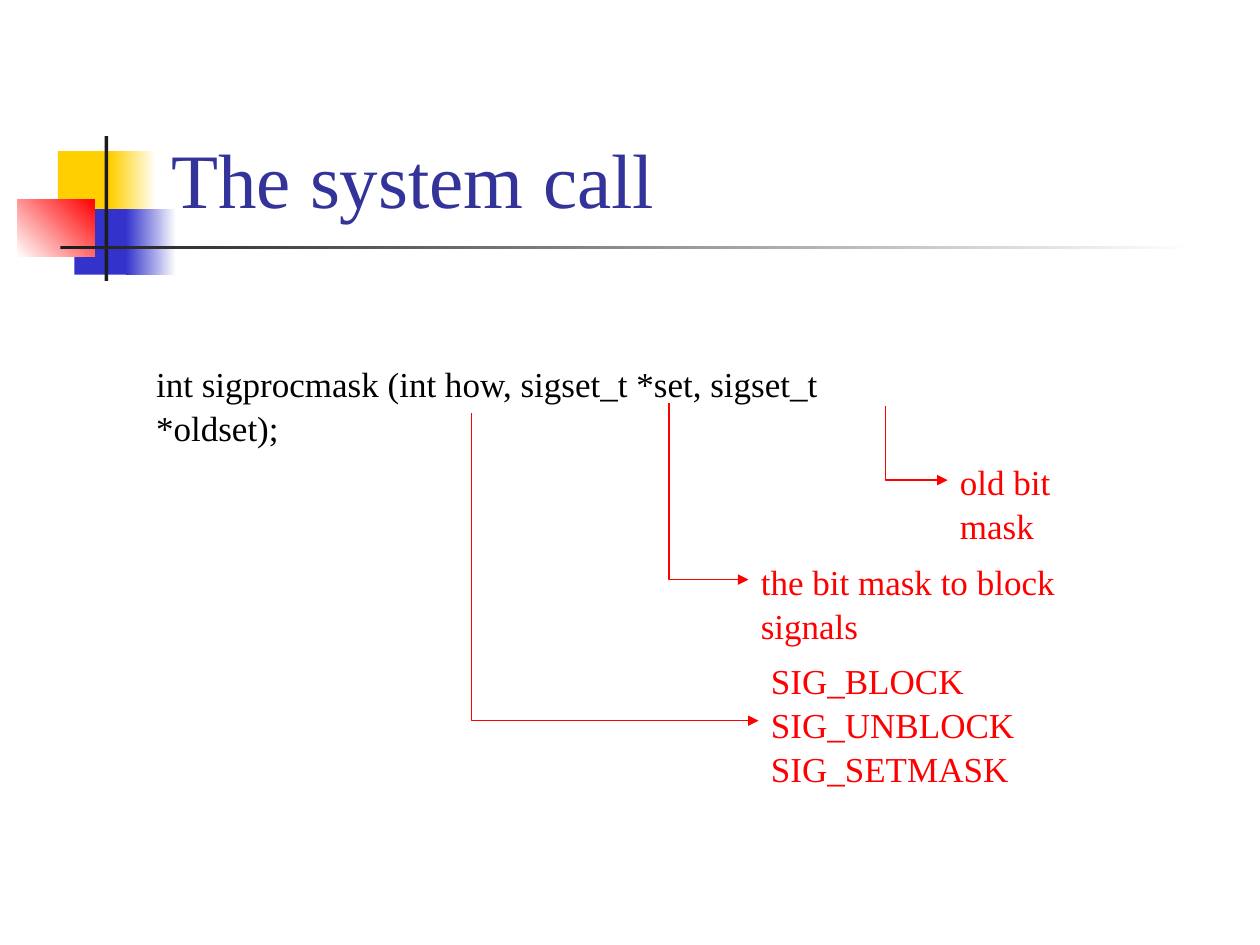
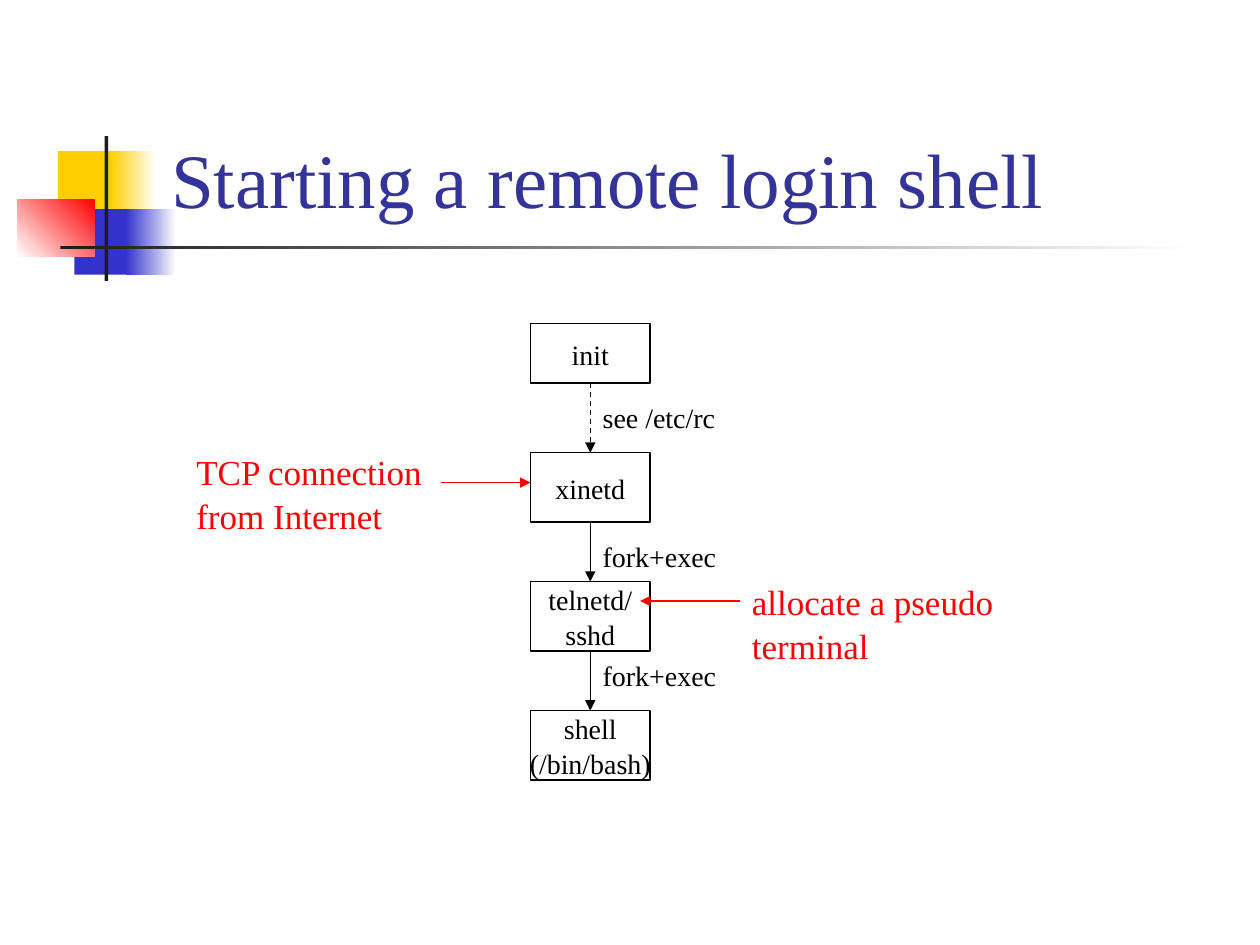
from lxml.etree import SubElement
from pptx import Presentation
from pptx.dml.color import RGBColor
from pptx.enum.dml import MSO_LINE_DASH_STYLE as Dash
from pptx.enum.shapes import MSO_CONNECTOR as Link, MSO_SHAPE as Shape
from pptx.enum.text import MSO_ANCHOR as Anchor, PP_ALIGN as Align
from pptx.oxml.ns import qn
from pptx.util import Inches, Pt

FONT = "Times New Roman"
WHITE, BLACK, RED = "FFFFFF", "000000", "FF0000"
YELLOW, BLUE, CHARCOAL, TITLE_BLUE = "FFCF01", "3333CC", "1C1C1C", "333399"
LINE_WIDTH = Pt(0.75)

# left, top, width, height, colours (two make a gradient), gradient angle
TITLE_MOTIF = [
    (0.46, 1.2, 0.48, 0.52, [YELLOW], 0),
    (0.88, 1.2, 0.36, 0.52, [YELLOW, WHITE], 0),
    (0.59, 1.66, 0.46, 0.52, [BLUE], 0),
    (1, 1.66, 0.4, 0.52, [BLUE, WHITE], 0),
    (0.14, 1.58, 0.61, 0.46, [WHITE, RED], 45),
    (0.83, 1.08, 0.03, 1.15, [CHARCOAL], 0),
    (0.48, 1.95, 9, 0.03, [CHARCOAL, WHITE], 0),
]


def rgb(value):
    """Turn a hex string into a colour."""
    return RGBColor.from_string(value)


def write(frame, text, size, color, align=Align.LEFT, spacing=1.05, **layout):
    """Fill a text frame, one paragraph per line of text."""
    for setting, value in layout.items():
        setattr(frame, setting, value)
    frame.text = text
    for paragraph in frame.paragraphs:
        paragraph.alignment = align
        paragraph.line_spacing = spacing
        look = {"name": FONT, "size": Pt(size)}
        for setting, value in look.items():
            setattr(paragraph.font, setting, value)
        paragraph.font.color.rgb = rgb(color)


def add_label(slide, left, top, width, height, text, size=20, color=RED, **layout):
    """Place a text box that keeps its lines unless word_wrap is given."""
    label = slide.shapes.add_textbox(*map(Inches, (left, top, width, height)))
    write(label.text_frame, text, size, color, **{"word_wrap": False, **layout})


def add_block(slide, left, top, width, height):
    """Place a plain rectangle without shadow or outline."""
    block = slide.shapes.add_shape(
        Shape.RECTANGLE, *map(Inches, (left, top, width, height)))
    block.shadow.inherit = False
    block.line.fill.background()
    return block


def add_arrow(slide, start, end, color, kind=Link.STRAIGHT, dash=None):
    """Draw a thin connector with a triangle at its end."""
    arrow = slide.shapes.add_connector(kind, *map(Inches, (*start, *end)))
    arrow.line.color.rgb = rgb(color)
    arrow.line.width = LINE_WIDTH
    if dash:
        arrow.line.dash_style = dash
    properties = arrow._element.spPr
    SubElement(properties.find(qn("a:ln")), qn("a:tailEnd"), type="triangle")
    SubElement(properties, qn("a:effectLst"))
    return arrow


def add_corner_arrow(slide, start, end, color):
    """Draw an arrow that runs down, then right, with a single bend."""
    (x1, y1), (x2, y2) = start, end
    middle_x, middle_y = (x1 + x2) / 2, (y1 + y2) / 2
    half_run, half_drop = (x2 - x1) / 2, (y2 - y1) / 2
    # The frame is flipped and turned a quarter, so run and drop swap places.
    arrow = add_arrow(slide, (middle_x + half_drop, middle_y - half_run),
                      (middle_x - half_drop, middle_y + half_run), color, Link.ELBOW)
    properties = arrow._element.spPr
    properties.find(qn("a:xfrm")).set("rot", str(270 * 60000))
    properties.find(qn("a:prstGeom")).set("prst", "bentConnector2")


def add_titled_slide(deck, title):
    """Start a slide with the coloured motif, the rule and the title."""
    slide = deck.slides.add_slide(deck.slide_layouts[6])
    for left, top, width, height, colors, angle in TITLE_MOTIF:
        fill = add_block(slide, left, top, width, height).fill
        if len(colors) == 1:
            fill.solid()
            fill.fore_color.rgb = rgb(colors[0])
            continue
        fill.gradient()
        fill.gradient_angle = angle
        for stop, color, position in zip(fill.gradient_stops, colors, (0, 1)):
            stop.color.rgb = rgb(color)
            stop.position = position
    add_label(slide, 1.26, 0.23, 8.52, 1.6, title, 44, TITLE_BLUE, spacing=1.0,
              word_wrap=True, vertical_anchor=Anchor.BOTTOM)
    return slide


def add_signature(slide, left, top):
    """Show the function signature and explain each of its arguments."""
    wrapped = {"word_wrap": True, "margin_right": Inches(0.2)}
    add_label(slide, left, top, 6.49, 0.77,
              "int sigprocmask (int how, sigset_t *set, sigset_t *oldset);",
              color=BLACK, **wrapped)
    # text, box, arrow start, arrow drop, layout
    arguments = [
        ("the bit mask to block signals", (4.8, 1.57, 3.36, 0.77),
         (4.17, 0.39), 1.4, wrapped),
        ("old bit mask", (6.38, 0.78, 1.57, 0.77), (5.89, 0.41), 0.59, wrapped),
        ("SIG_BLOCK\nSIG_UNBLOCK\nSIG_SETMASK", (4.88, 2.36, 2.14, 1.1),
         (2.6, 0.47), 2.44, {}),
    ]
    for text, (x, y, width, height), (start_x, start_y), drop, layout in arguments:
        add_label(slide, left + x, top + y, width, height, text, **layout)
        start = left + start_x, top + start_y
        add_corner_arrow(slide, start, (left + x, start[1] + drop), RED)


def add_process_chain(slide, left, top, width, height):
    """Stack the processes and link each one to the next."""
    processes = ["init", "xinetd", "telnetd/\nsshd", "shell\n(/bin/bash)"]
    # text, distance below the upper process, dash
    steps = [("see /etc/rc", 0.08, Dash.DASH), ("fork+exec", 0.08, None),
             ("fork+exec", 0, None)]
    node_height, first_height = 0.55, 0.47
    pitch = (height - node_height) / (len(processes) - 1)
    center = left + width / 2
    tops = [top + pitch * row for row in range(len(processes))]
    heights = [first_height] + [node_height] * (len(processes) - 1)
    for process, node_top, tall in zip(processes, tops, heights):
        node = add_block(slide, left, node_top, width, tall)
        node.fill.background()
        node.line.color.rgb = rgb(BLACK)
        node.line.width = LINE_WIDTH
        write(node.text_frame, process, 16, BLACK, Align.CENTER,
              word_wrap=False, vertical_anchor=Anchor.MIDDLE)
    for (text, gap, dash), upper, tall, lower in zip(steps, tops, heights, tops[1:]):
        bottom = upper + tall
        add_arrow(slide, (center, bottom), (center, lower), BLACK, dash=dash)
        add_label(slide, center, bottom + gap, 1.11, 0.37, text, 16, BLACK)


def add_chain_remarks(slide, left, top):
    """Point out in red what happens beside the process chain."""
    add_label(slide, left, top, 2, 0.77, "TCP connection\nfrom Internet")
    add_arrow(slide, (left + 2.04, top + 0.32), (left + 2.75, top + 0.32), RED)
    add_label(slide, left + 4.41, top + 1.03, 3.1, 0.77, "allocate a pseudo terminal",
              word_wrap=True, margin_right=Inches(0.2))
    add_arrow(slide, (left + 4.41, top + 1.26), (left + 3.62, top + 1.26), RED)


def main():
    """Build both slides and save the deck."""
    deck = Presentation()
    deck.slide_width, deck.slide_height = Inches(10), Inches(7.5)
    add_signature(add_titled_slide(deck, "The system call"), 1.14, 2.81)
    login = add_titled_slide(deck, "Starting a remote login shell")
    add_process_chain(login, 4.21, 2.57, 0.95, 3.62)
    add_chain_remarks(login, 1.46, 3.51)
    deck.save("out.pptx")


main()
